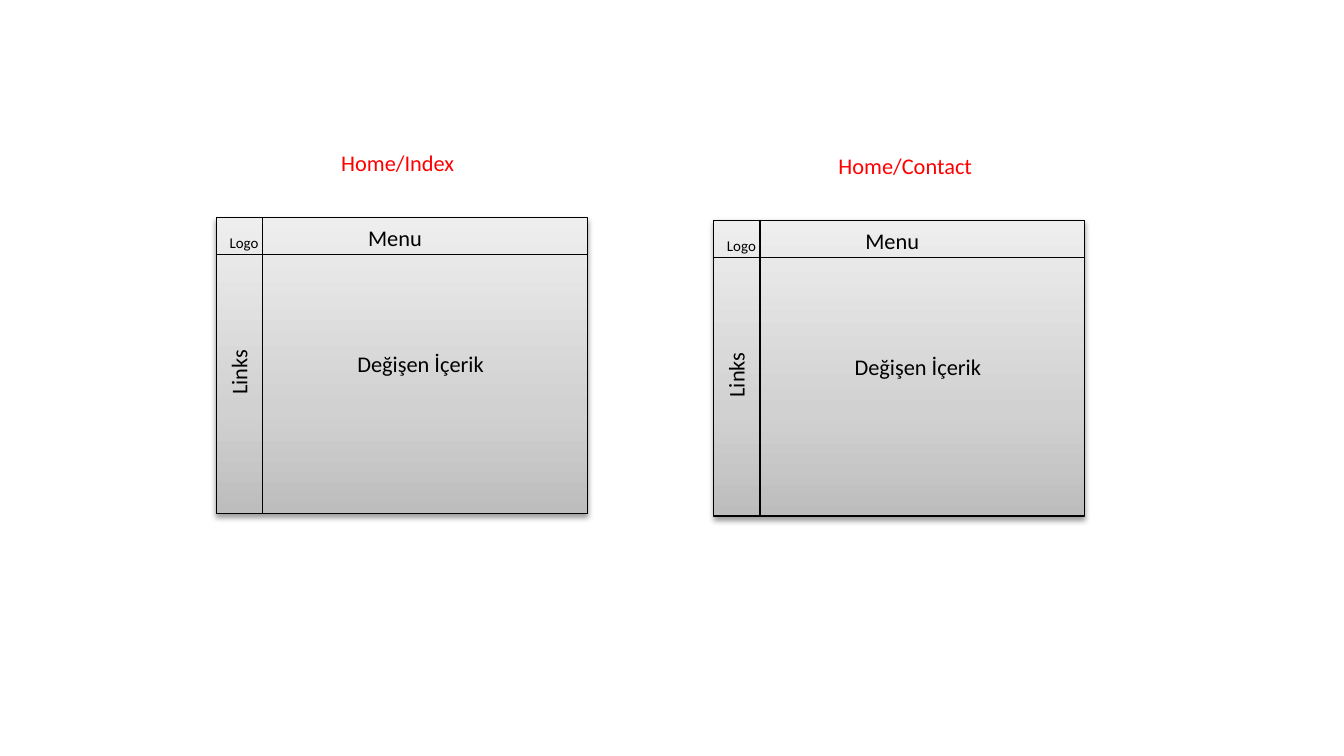
from lxml.etree import SubElement
from pptx import Presentation
from pptx.dml.color import RGBColor
from pptx.enum.shapes import MSO_SHAPE
from pptx.enum.text import MSO_AUTO_SIZE, PP_ALIGN
from pptx.oxml.ns import qn
from pptx.util import Inches, Pt

THEME = {
    "font": "Calibri", "body": 12, "small": 8,
    "ink": "000000", "title": "FF0000",
    "fade": [(0, "BDBDBD"), (35, "D1D1D1"), (100, "EEEEEE")],
}


def tint(parent, pos, color):
    """Add one gradient stop."""
    stop = SubElement(parent, qn("a:gs"), pos=str(pos * 1000))
    SubElement(stop, qn("a:srgbClr"), val=color)


def frame(slide, x, y, w, h):
    """Draw the shaded page outline with its inner lines."""
    shape = slide.shapes.add_shape(
        MSO_SHAPE.FLOWCHART_INTERNAL_STORAGE,
        Inches(x), Inches(y), Inches(w), Inches(h))
    shape.fill.gradient()
    shape.fill.gradient_angle = 90
    props = shape._element.spPr
    stops = props.find(qn("a:gradFill")).find(qn("a:gsLst"))
    stops.clear()
    for pos, color in THEME["fade"]:
        tint(stops, pos, color)
    shape.line.color.rgb = RGBColor.from_string(THEME["ink"])
    shape.line.width = Pt(0.75)
    shape.shadow.inherit = False
    shade = SubElement(
        props.find(qn("a:effectLst")), qn("a:outerShdw"),
        blurRad=str(Pt(3.1)), dist=str(Pt(1.6)), dir="5400000", rotWithShape="0")
    color = SubElement(shade, qn("a:srgbClr"), val=THEME["ink"])
    SubElement(color, qn("a:alpha"), val="38000")


def label(slide, text, x, y, w=1.65, h=0.3, size="body", color="ink",
          turn=0, align=PP_ALIGN.LEFT):
    """Place one line of text in a box."""
    box = slide.shapes.add_textbox(Inches(x), Inches(y), Inches(w), Inches(h))
    box.rotation = turn
    body = box.text_frame
    body.word_wrap = True
    body.auto_size = MSO_AUTO_SIZE.SHAPE_TO_FIT_TEXT
    para = body.paragraphs[0]
    para.alignment = align
    run = para.add_run()
    run.text = text
    look = {"name": THEME["font"], "size": Pt(THEME[size])}
    for key, value in look.items():
        setattr(run.font, key, value)
    run.font.color.rgb = RGBColor.from_string(THEME[color])


def page(slide, title, x, y, w=2.76, h=2.2):
    """Draw one page layout and its title above the given box."""
    frame(slide, x, y, w, h)
    label(slide, "Menu", x + 1.03, y)
    label(slide, "Links", x - 0.66, y + 1, turn=270, align=PP_ALIGN.CENTER)
    label(slide, "Logo", x, y + 0.07, 0.71, 0.24, size="small")
    label(slide, "Değişen İçerik", x + 0.95, y + 0.94)
    label(slide, title, x + 0.83, y - 0.56, color="title")


def main():
    """Build the slide and save it."""
    deck = Presentation()
    deck.slide_width = Inches(10)
    deck.slide_height = deck.slide_width * 9 // 16
    slide = deck.slides.add_slide(deck.slide_layouts[6])
    page(slide, "Home/Index", 1.61, 1.62)
    page(slide, "Home/Contact", 5.31, 1.64)
    deck.save("out.pptx")


main()
